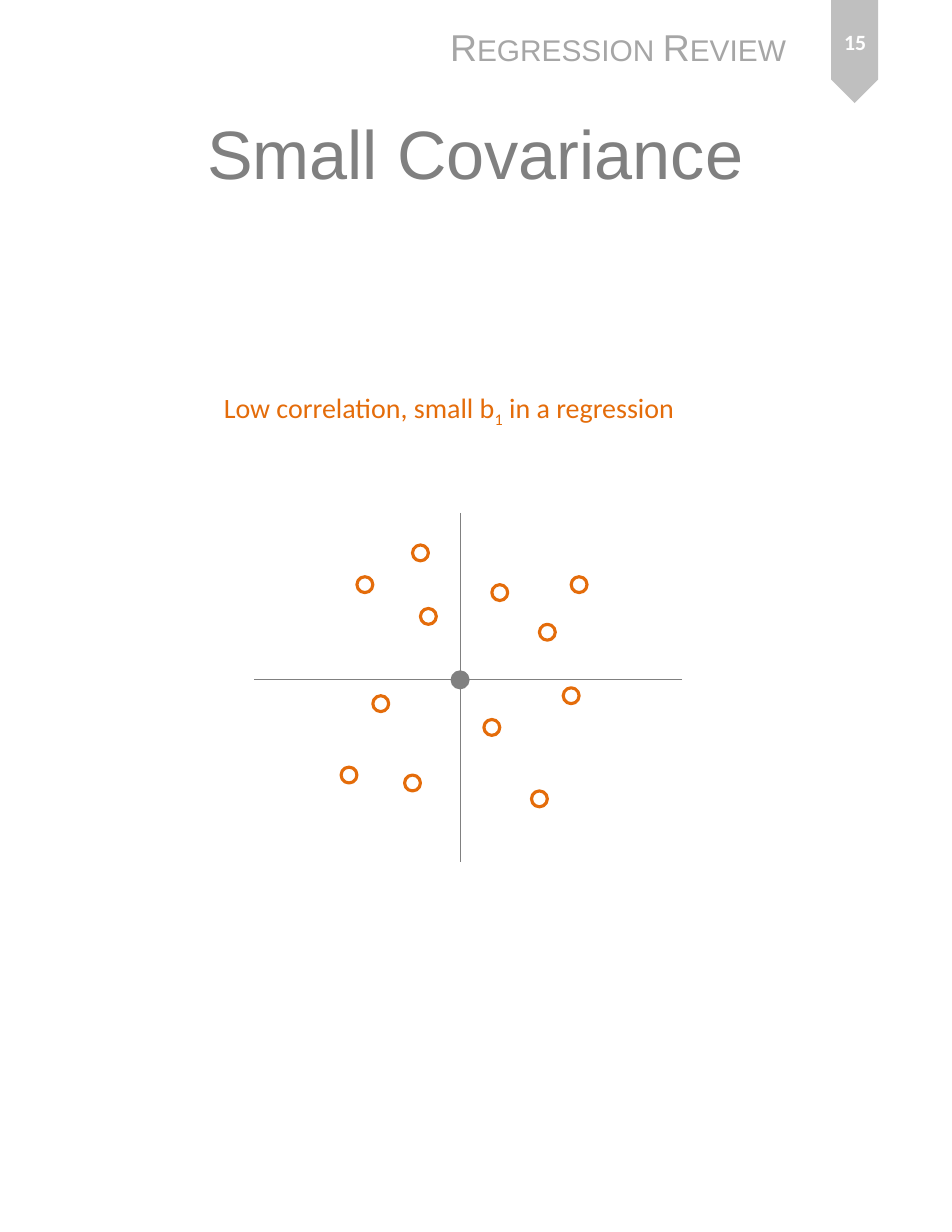
from pptx import Presentation
from pptx.dml.color import RGBColor as RGB
from pptx.enum.shapes import MSO_CONNECTOR as Conn, MSO_SHAPE as Kind
from pptx.enum.text import MSO_ANCHOR as Anchor, PP_ALIGN as Align
from pptx.util import Inches, Pt
from lxml.etree import SubElement
from pptx.oxml.ns import qn

HUES = {"gray": "808080", "pale": "A6A6A6", "flag": "BFBFBF",
        "dot": "E46C0A", "white": "FFFFFF"}

WIDE, HIGH = 8.5, 11
COLS = 120
UNIT = WIDE / COLS
DOT = 2
MEAN = (58, 85.7)
AXES = [(58, 64.66, 58, 108.7), (86, 85.7, 32, 85.7)]
FLAG = (101.22, 3.53, 13, 5.93)

POINTS = [(11, -6), (15, -12), (-4, -8), (-12, -12), (-10, 3), (-6, 13),
          (-5, -16), (5, -11), (10, 15), (-14, 12), (4, 6), (14, 2)]

TEXTS = [
    {"runs": [("Small Covariance", {})], "box": (5.93, 6.21, 108, 25.84),
     "size": 44, "face": "Arial", "hue": "gray", "mid": True},
    {"runs": [("Low correlation, small b", {}), ("1", {"baseline": "-25000"}),
              (" in a regression", {})],
     "box": (26.82, 48.56, 60.42, 5.65),
     "size": 18, "face": "Calibri", "hue": "dot"},
    {"runs": [("15", {})], "box": (102.49, 1.13, 10.59, 8.33),
     "size": 14, "face": "Calibri", "hue": "white", "mid": True, "bold": True},
    {"runs": [("Regression Review", {"cap": "small"})],
     "box": (55.34, 2.4, 45.88, 7.06),
     "size": 24, "face": "Arial", "hue": "pale"},
]


def place(box):
    return [Inches(n * UNIT) for n in box]


def tint(name):
    return RGB.from_string(HUES[name])


def draw(slide, kind, box, fill=None, line=None):
    shape = slide.shapes.add_shape(kind, *place(box))
    shape.shadow.inherit = False
    if fill:
        shape.fill.solid()
        shape.fill.fore_color.rgb = tint(fill)
    else:
        shape.fill.background()
    if line:
        shape.line.color.rgb = tint(line)
        shape.line.width = Pt(2)
    else:
        shape.line.fill.background()
    return shape


def rule(slide, ends):
    line = slide.shapes.add_connector(Conn.STRAIGHT, *place(ends))
    line.line.color.rgb = tint("gray")
    line.line.width = Pt(0.75)
    SubElement(line._element.spPr, qn("a:effectLst"))


def spot(slide, step, fill, line):
    left, top = (m + s - DOT / 2 for m, s in zip(MEAN, step))
    draw(slide, Kind.OVAL, (left, top, DOT, DOT), fill, line)


def write(slide, item):
    frame = slide.shapes.add_textbox(*place(item["box"])).text_frame
    mid = item.get("mid", False)
    frame.word_wrap = mid
    frame.vertical_anchor = Anchor.MIDDLE if mid else Anchor.TOP
    para = frame.paragraphs[0]
    para.alignment = Align.CENTER if mid else Align.LEFT
    for text, marks in item["runs"]:
        run = para.add_run()
        run.text = text
        font = run.font
        font.size = Pt(item["size"])
        font.name = item["face"]
        font.bold = item.get("bold", False)
        font.color.rgb = tint(item["hue"])
        for key, value in marks.items():
            run._r.get_or_add_rPr().set(key, value)


def main():
    deck = Presentation()
    deck.slide_width, deck.slide_height = Inches(WIDE), Inches(HIGH)
    slide = deck.slides.add_slide(deck.slide_layouts[6])
    draw(slide, Kind.PENTAGON, FLAG, "flag").rotation = 90
    for ends in AXES:
        rule(slide, ends)
    spot(slide, (0, 0), "gray", "gray")
    for step in POINTS:
        spot(slide, step, None, "dot")
    for item in TEXTS:
        write(slide, item)
    deck.save("out.pptx")


if __name__ == "__main__":
    main()
